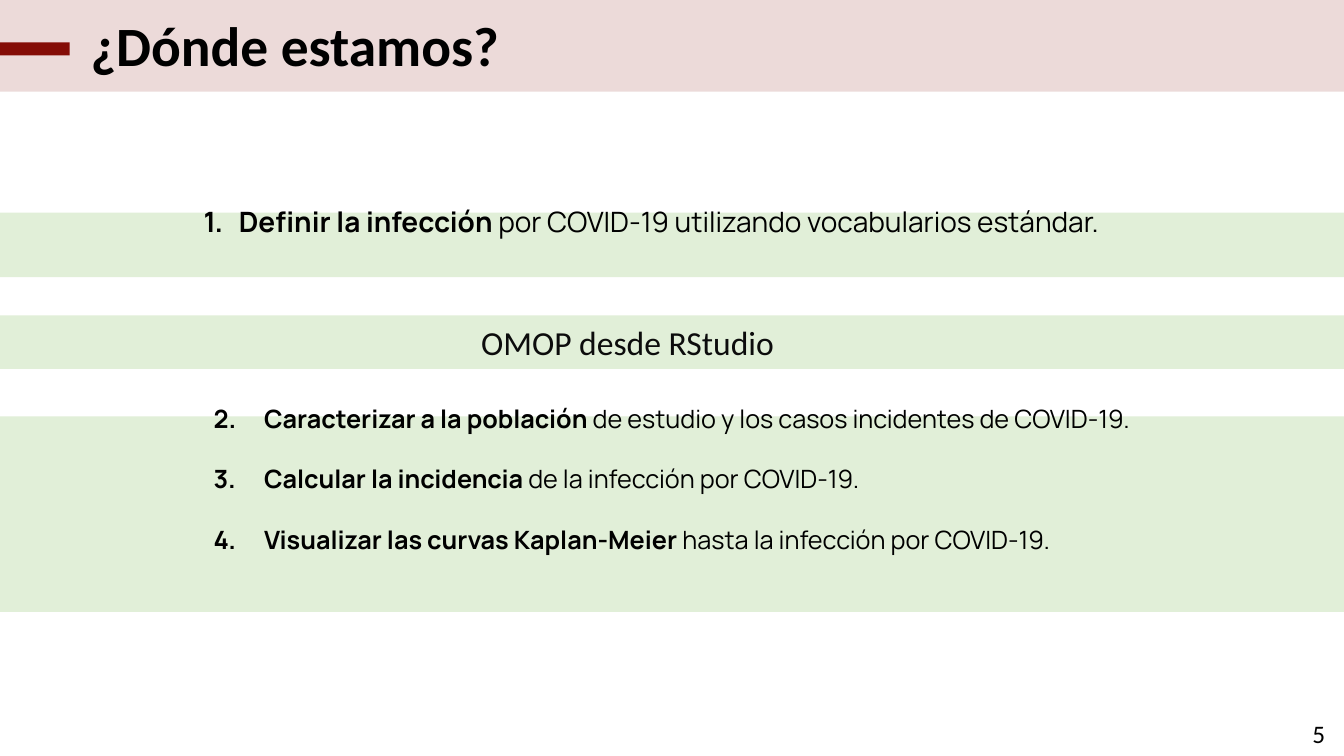
from lxml import etree
from pptx import Presentation
from pptx.dml.color import RGBColor
from pptx.enum import shapes, text
from pptx.oxml.ns import qn
from pptx.util import Inches, Pt

RED = RGBColor(0x84, 0x0C, 0x06)
GREEN = RGBColor(0xE1, 0xEF, 0xD8)
BLACK = RGBColor(0, 0, 0)
DARK = RGBColor(0x0C, 0x0C, 0x0C)
WIDE = 13.33
TASKS = [
    ("Definir la infección ", "por COVID-19 utilizando vocabularios estándar."),
    ("Caracterizar a la población ", "de estudio y los casos incidentes de COVID-19."),
    ("Calcular la incidencia ", "de la infección por COVID-19."),
    ("Visualizar las curvas Kaplan-Meier ", "hasta la infección por COVID-19."),
]


def style(font, color=BLACK, **form):
    """Set the font values and colour."""
    for key, val in form.items():
        setattr(font, key, val)
    font.color.rgb = color


def band(slide, box, color, alpha=None):
    """Add a plain filled bar."""
    bar = slide.shapes.add_shape(shapes.MSO_SHAPE.RECTANGLE, *map(Inches, box))
    bar.shadow.inherit = False
    bar.fill.solid()
    bar.fill.fore_color.rgb = color
    bar.line.fill.background()
    if alpha:
        tint = bar.fill._xPr.find(".//" + qn("a:srgbClr"))
        etree.SubElement(tint, qn("a:alpha")).set("val", str(alpha * 1000))
    return bar


def label(slide, box, words, align=None, space=1.0, **form):
    """Add a text box with one line."""
    frame = slide.shapes.add_textbox(*map(Inches, box)).text_frame
    frame.word_wrap = True
    frame.vertical_anchor = text.MSO_ANCHOR.MIDDLE
    para = frame.paragraphs[0]
    para.text, para.alignment, para.line_spacing = words, align, space
    style(para.runs[0].font, name="Calibri", **form)


def header(slide, box, words):
    """Add the tinted header with its red mark and title."""
    left, top, width, height = box
    band(slide, box, RED, 15)
    label(slide, (left + 0.8, top + 0.13, width - 1.6, 0.71), words,
          space=0.9, size=Pt(39.6), bold=True)
    band(slide, (left, top + 0.42, 0.69, 0.13), RED)


def strip(slide, box, words):
    """Add the green bar that names the tool."""
    bar = band(slide, box, GREEN)
    frame = bar.text_frame
    frame.margin_right = Inches(0.98)
    frame.vertical_anchor = text.MSO_ANCHOR.MIDDLE
    para = frame.paragraphs[0]
    para.text, para.alignment = words, text.PP_ALIGN.CENTER
    style(para.runs[0].font, DARK, name="Calibri", size=Pt(24))


def number(para, start, left, hang):
    """Number a paragraph with a hanging indent."""
    props = para._p.get_or_add_pPr()
    props.set("marL", str(Inches(left)))
    props.set("indent", str(-Inches(hang)))
    tint = etree.SubElement(props, qn("a:buClr"))
    etree.SubElement(tint, qn("a:srgbClr")).set("val", str(BLACK))
    mark = etree.SubElement(props, qn("a:buAutoNum"))
    mark.set("type", "arabicPeriod")
    mark.set("startAt", str(start))


def agenda(slide, box, tasks):
    """Add the numbered tasks, with a gap after the first."""
    frame = slide.shapes.add_textbox(*map(Inches, box)).text_frame
    frame.word_wrap = True
    for side in ("left", "top", "right", "bottom"):
        setattr(frame, "margin_" + side, Inches(0.1))
    for i, parts in enumerate(tasks):
        para = frame.paragraphs[0] if i == 0 else frame.add_paragraph()
        para.line_spacing = 2.0
        if i == 1:
            para.space_before = Pt(96)
        left, hang, size = (0.5, 0.35, 20) if i == 0 else (0.75, 0.5, 18)
        number(para, 1 if i == 0 else 2, left, hang)
        for words, bold in zip(parts, (True, False)):
            run = para.add_run()
            run.text = words
            style(run.font, name="Manrope", size=Pt(size), bold=bold)


def main():
    """Build and save the slide."""
    deck = Presentation()
    deck.slide_width, deck.slide_height = Inches(WIDE), Inches(7.5)
    slide = deck.slides.add_slide(deck.slide_layouts[6])
    for top, height in ((2.11, 0.64), (4.13, 1.94)):
        band(slide, (0, top, WIDE, height), GREEN)
    agenda(slide, (1.77, 1.6, 10.19, 4.38), TASKS)
    header(slide, (0, 0, WIDE, 0.91), "¿Dónde estamos?")
    label(slide, (12.84, 7.08, 0.48, 0.4), "5", text.PP_ALIGN.CENTER, size=Pt(18))
    strip(slide, (0, 3.13, WIDE, 0.53), "OMOP desde RStudio")
    deck.save("out.pptx")


if __name__ == "__main__":
    main()
